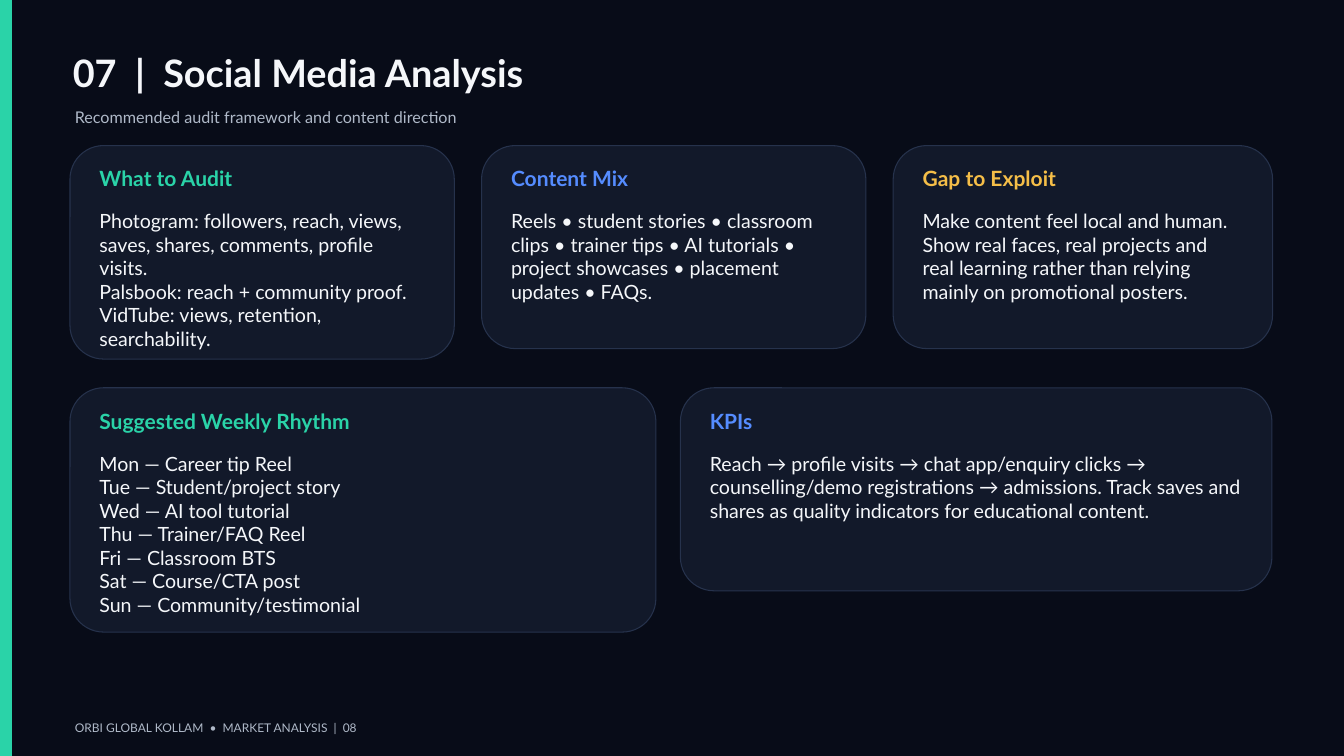
import pptx
import pptx.dml.color
import pptx.enum.shapes
import pptx.enum.text
import pptx.oxml.ns
import pptx.util
from lxml import etree

PX = 9525  # EMU per px, 96 px to the inch
FONT = "Lato"
NIGHT, PANEL, BORDER = "080C18", "12192A", "26324C"
WHITE, GREY = "F5F7FA", "AFB9C8"
GREEN, BLUE, YELLOW = "2AD3A8", "558CFF", "F5BE48"


def px(length):
    return pptx.util.Emu(length * PX)


def color(hex_code):
    return pptx.dml.color.RGBColor.from_string(hex_code)


class SlideBuilder:
    """Holds the style and the current slide."""

    def __init__(self, slide):
        self.slide = slide
        slide.background.fill.solid()
        slide.background.fill.fore_color.rgb = color(NIGHT)

    def shape(self, kind, box, fill, border=None):
        panel = self.slide.shapes.add_shape(kind, *map(px, box))
        panel.shadow.inherit = False
        panel.fill.solid()
        panel.fill.fore_color.rgb = color(fill)
        if border:
            panel.line.color.rgb = color(border)
            panel.line.width = pptx.util.Pt(1.13)
        else:
            panel.line.fill.background()
        return panel

    def set_lines(self, holder, lines, size, leading, hex_code, bold=False):
        frame = holder.text_frame
        frame.word_wrap = True
        frame.auto_size = pptx.enum.text.MSO_AUTO_SIZE.NONE
        frame.vertical_anchor = pptx.enum.text.MSO_ANCHOR.TOP
        frame.margin_left = frame.margin_right = 0
        frame.margin_top = frame.margin_bottom = 0
        for index, line in enumerate(lines):
            paragraph = frame.add_paragraph() if index else frame.paragraphs[0]
            properties = paragraph._p.get_or_add_pPr()
            properties.set("marL", "0")
            properties.set("indent", "0")
            etree.SubElement(properties, pptx.oxml.ns.qn("a:buNone"))
            paragraph.alignment = pptx.enum.text.PP_ALIGN.LEFT
            paragraph.line_spacing = pptx.util.Pt(leading)
            paragraph.space_before = pptx.util.Pt(0)
            run = paragraph.add_run()
            run.text = line
            run.font.name = FONT
            run.font.size = pptx.util.Pt(size)
            run.font.bold = bold
            run.font.color.rgb = color(hex_code)

    def text(self, box, *style, **options):
        holder = self.slide.shapes.add_textbox(*map(px, box))
        self.set_lines(holder, *style, **options)

    def placeholder(self, index, box, *style, **options):
        holder = self.slide.placeholders[index]
        holder.left, holder.top, holder.width, holder.height = map(px, box)
        # Bring it in front of what is already on the slide
        holder.element.getparent().append(holder.element)
        self.set_lines(holder, *style, **options)

    def card(self, box, heading, accent, lines, is_list=False):
        left, top, width, height = box
        panel = self.shape(pptx.enum.shapes.MSO_SHAPE.ROUNDED_RECTANGLE, box, PANEL, BORDER)
        panel.adjustments[0] = 48 / min(width, height)
        inner_left, inner_width = left + 42, width - 84
        self.text((inner_left, top + 29, inner_width, 41), [heading], 22.5, 27, accent, bold=True)
        content = ((inner_left, top + 91, inner_width, 176), lines, 21, 25.2, WHITE)
        if is_list:
            self.placeholder(1, *content)
        else:
            self.text(*content)


def main():
    deck = pptx.Presentation()
    deck.slide_width, deck.slide_height = px(1920), px(1080)
    page = SlideBuilder(deck.slides.add_slide(deck.slide_layouts[1]))

    # Accent bar and heading
    page.shape(pptx.enum.shapes.MSO_SHAPE.RECTANGLE, (0, 0, 17, 1080), GREEN)
    page.placeholder(0, (104, 71, 1695, 69), ["07  |  Social Media Analysis"],
                     40.5, 48.6, WHITE, bold=True)
    page.text((107, 154, 1667, 48), ["Recommended audit framework and content direction"],
              17.3, 20.7, GREY)

    # Top row: audit, content and gap
    top_row, bottom_row = 208, 554
    page.card((100, top_row, 549, 305), "What to Audit", GREEN, [
        "Photogram: followers, reach, views, saves, shares, comments, profile visits.",
        "Palsbook: reach + community proof.",
        "VidTube: views, retention, searchability.",
    ])
    page.card((688, top_row, 549, 290), "Content Mix", BLUE, [
        "Reels • student stories • classroom clips • trainer tips • AI tutorials • "
        "project showcases • placement updates • FAQs.",
    ])
    page.card((1276, top_row, 542, 290), "Gap to Exploit", YELLOW, [
        "Make content feel local and human. Show real faces, real projects and "
        "real learning rather than relying mainly on promotional posters.",
    ])

    # Bottom row: weekly plan and measures
    page.card((100, bottom_row, 837, 349), "Suggested Weekly Rhythm", GREEN, [
        "Mon — Career tip Reel",
        "Tue — Student/project story",
        "Wed — AI tool tutorial",
        "Thu — Trainer/FAQ Reel",
        "Fri — Classroom BTS",
        "Sat — Course/CTA post",
        "Sun — Community/testimonial",
    ], is_list=True)
    page.card((972, bottom_row, 845, 290), "KPIs", BLUE, [
        "Reach → profile visits → chat app/enquiry clicks → counselling/demo "
        "registrations → admissions. Track saves and shares as quality indicators "
        "for educational content.",
    ])

    # Footer
    page.text((107, 1030, 1695, 20), ["ORBI GLOBAL KOLLAM  •  MARKET ANALYSIS  |  08"],
              12.8, 15.3, GREY)

    deck.save("out.pptx")


if __name__ == "__main__":
    main()
